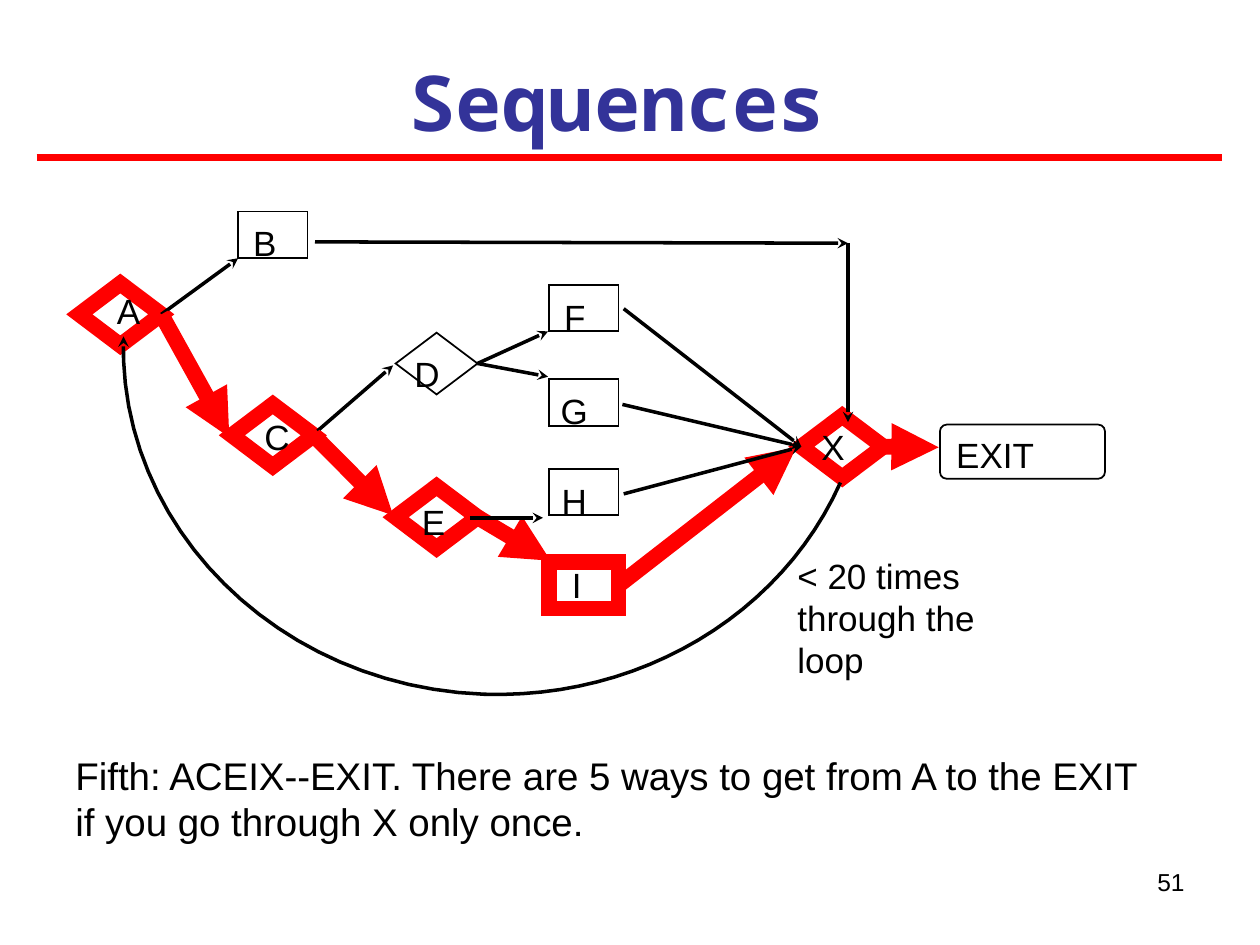
from lxml import etree
from pptx import Presentation
from pptx.dml.color import RGBColor
from pptx.enum.shapes import MSO_CONNECTOR, MSO_SHAPE
from pptx.enum.text import MSO_ANCHOR, PP_ALIGN
from pptx.oxml.ns import qn
from pptx.util import Inches, Pt

STRAIGHT = MSO_CONNECTOR.STRAIGHT
DIAMOND, RECT, ROUNDED = MSO_SHAPE.DIAMOND, MSO_SHAPE.RECTANGLE, MSO_SHAPE.ROUNDED_RECTANGLE
MIDDLE = MSO_ANCHOR.MIDDLE
LEFT, CENTER, RIGHT = PP_ALIGN.LEFT, PP_ALIGN.CENTER, PP_ALIGN.RIGHT

BLACK, RED, BLUE = "000000", "FF0000", "333399"
THIN, NORMAL, THICK = 1, 2, 9
LEFT_SIDE, RIGHT_SIDE = 1, 3
SIZES = {DIAMOND: (0.65, 0.49), RECT: (0.55, 0.37), ROUNDED: (1.31, 0.43)}

NODES = [
    ("A", DIAMOND, 0.63, 2.25, 0.83, 2.25, 0.39, True),
    ("B", RECT, 1.89, 1.68, 1.91, 1.71, 0.39, False),
    ("C", DIAMOND, 1.84, 3.21, 2.0, 3.25, 0.4, True),
    ("D", DIAMOND, 3.14, 2.64, 3.19, 2.75, 0.4, False),
    ("E", DIAMOND, 3.14, 3.86, 3.25, 3.92, 0.39, True),
    ("F", RECT, 4.36, 2.26, 4.38, 2.3, 0.37, False),
    ("G", RECT, 4.36, 3.01, 4.35, 3.04, 0.42, False),
    ("H", RECT, 4.36, 3.72, 4.36, 3.76, 0.4, False),
    ("I", RECT, 4.36, 4.46, 4.44, 4.42, 0.28, True),
    ("X", DIAMOND, 6.36, 3.3, 6.42, 3.33, 0.39, True),
    ("EXIT", ROUNDED, 7.46, 3.37, 7.49, 3.39, 0.82, False),
]

EDGES = [
    ((1.29, 2.5), (1.89, 2.05), False, "A", None),
    ((1.29, 2.49), (1.82, 3.47), True, "A", None),
    ((2.52, 3.42), (3.12, 2.9), False, None, None),
    ((2.5, 3.46), (3.12, 4.09), True, "C", None),
    ((3.78, 2.89), (4.35, 2.63), False, "D", None),
    ((3.81, 2.89), (4.35, 2.99), False, "D", None),
    ((3.77, 4.11), (4.37, 4.45), True, "E", None),
    ((3.73, 4.11), (4.31, 4.11), False, None, None),
    ((4.92, 4.67), (6.32, 3.55), True, "I", None),
    ((4.95, 3.92), (6.36, 3.55), False, None, "X"),
    ((4.94, 3.21), (6.34, 3.54), False, None, "X"),
    ((4.95, 2.45), (6.36, 3.53), False, None, "X"),
    ((2.5, 1.92), (6.73, 1.93), False, None, None),
    ((6.73, 1.93), (6.73, 3.35), False, None, None),
    ((7.01, 3.55), (7.45, 3.55), True, "X", None),
]

LOOP_START = (6.67, 3.83)
LOOP_CURVES = [
    ((6.2, 4.88), (5.08, 5.55), (3.84, 5.51)),
    ((2.21, 5.45), (0.93, 4.18), (0.98, 2.67)),
]
CURVE_STEPS = 24


def rgb(color):
    return RGBColor.from_string(color)


def set_line(sp, color, width, head=None):
    sp.line.color.rgb = rgb(color)
    sp.line.width = Pt(width)
    ln = sp.line._get_or_add_ln()
    etree.SubElement(ln, qn("a:miter"), lim="800000")
    if head:
        etree.SubElement(ln, qn("a:tailEnd"), type=head)


def add_run(p, text, size, color=BLACK, font="Arial", bold=False):
    r = p.add_run()
    r.text = text
    r.font.name = font
    r.font.size = Pt(size)
    r.font.bold = bold
    r.font.color.rgb = rgb(color)


def add_text(slide, box, lines, size, align=LEFT, wrap=False):
    tf = slide.shapes.add_textbox(*map(Inches, box)).text_frame
    tf.word_wrap = wrap
    for i, line in enumerate(lines):
        p = tf.add_paragraph() if i else tf.paragraphs[0]
        p.alignment = align
        add_run(p, line, size)


def add_title(slide, text):
    title = slide.shapes.title
    title.left, title.top, title.width, title.height = map(Inches, (0.33, 0.29, 9.14, 1.02))
    tf = title.text_frame
    tf.vertical_anchor = MIDDLE
    p = tf.paragraphs[0]
    p.alignment = CENTER
    add_run(p, text, 44, BLUE, "Noto Sans Mono", True)


def add_node(slide, name, kind, left, top, label_left, label_top, label_width, on_path):
    sp = slide.shapes.add_shape(kind, *map(Inches, (left, top, *SIZES[kind])))
    sp.shadow.inherit = False
    sp.fill.background()
    if kind == ROUNDED:
        sp.adjustments[0] = 0.125
    set_line(sp, RED if on_path else BLACK, THICK if on_path else THIN)
    add_text(slide, (label_left, label_top, label_width, 0.43), [name], 20)
    return sp


def add_line(slide, start, end, color, width, head=None):
    line = slide.shapes.add_connector(STRAIGHT, *map(Inches, (*start, *end)))
    set_line(line, color, width, head)
    etree.SubElement(line._element.spPr, qn("a:effectLst"))
    return line


def add_edge(slide, nodes, start, end, on_path, source, target):
    style = (RED, THICK, "triangle") if on_path else (BLACK, NORMAL, "stealth")
    line = add_line(slide, start, end, *style)
    if source:
        line.begin_connect(nodes[source], RIGHT_SIDE)
    if target:
        line.end_connect(nodes[target], LEFT_SIDE)


def bezier(points, t):
    weights = ((1 - t) ** 3, 3 * t * (1 - t) ** 2, 3 * t**2 * (1 - t), t**3)
    return tuple(sum(w * p[axis] for w, p in zip(weights, points)) for axis in (0, 1))


def add_loop(slide):
    points = [LOOP_START]
    for curve in LOOP_CURVES:
        controls = (points[-1], *curve)
        points += [bezier(controls, i / CURVE_STEPS) for i in range(1, CURVE_STEPS + 1)]
    start, *rest = [(Inches(x), Inches(y)) for x, y in points]
    builder = slide.shapes.build_freeform(*start)
    builder.add_line_segments(rest, close=False)
    sp = builder.convert_to_shape()
    sp.shadow.inherit = False
    sp.fill.background()
    set_line(sp, BLACK, NORMAL, "stealth")


def main():
    prs = Presentation()
    prs.slide_width, prs.slide_height = Inches(10), Inches(7.5)
    slide = prs.slides.add_slide(prs.slide_layouts[5])
    add_title(slide, "Sequences")
    add_line(slide, (0.29, 1.25), (9.7, 1.25), RED, 4.5)
    nodes = {node[0]: add_node(slide, *node) for node in NODES}
    for edge in EDGES:
        add_edge(slide, nodes, *edge)
    add_loop(slide)
    add_text(slide, (6.23, 4.35, 1.69, 1.1), ["< 20 times", "through the", "loop"], 20)
    add_text(slide, (0.5, 5.92, 8.83, 0.84),
             ["Fifth: ACEIX--EXIT. There are 5 ways to get from A to the EXIT "
              "if you go through X only once."], 22, wrap=True)
    add_text(slide, (7.17, 6.83, 2.33, 0.52), ["51"], 14, RIGHT, True)
    prs.save("out.pptx")


if __name__ == "__main__":
    main()
